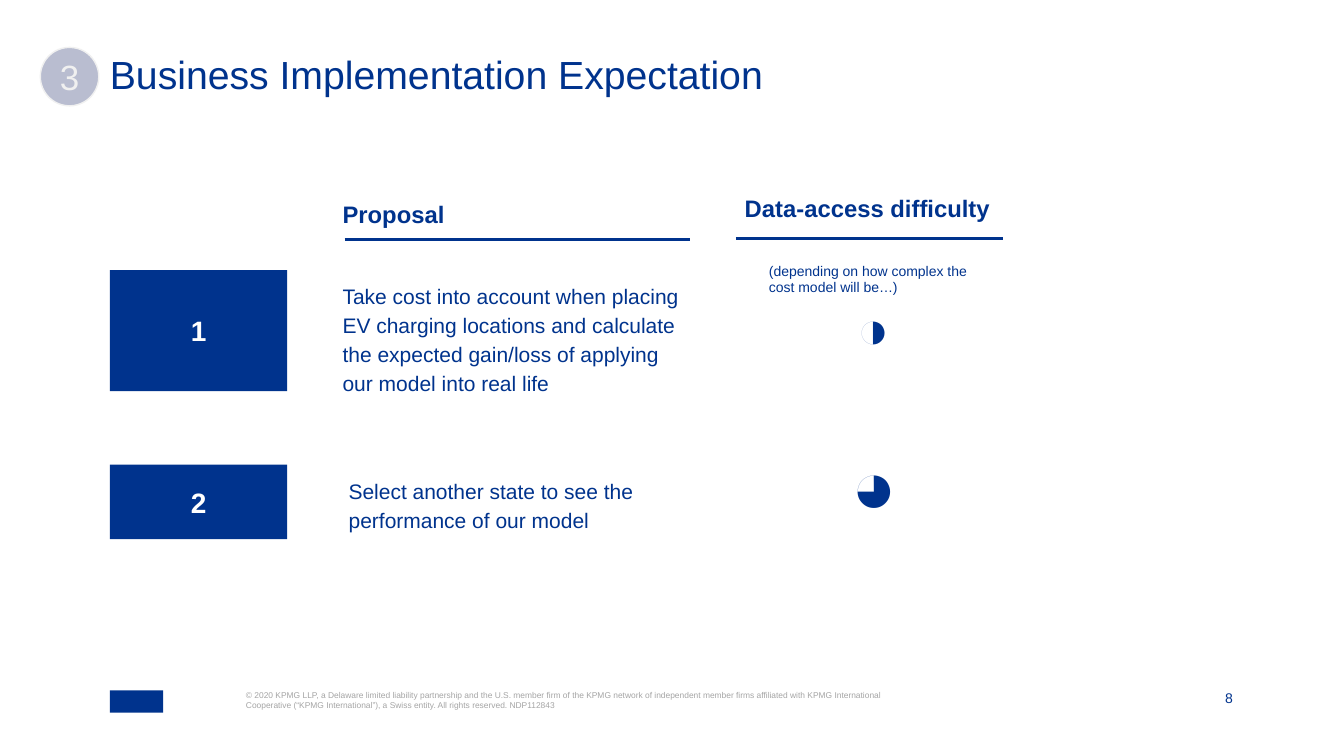
import dataclasses

import lxml.etree
import pptx
import pptx.dml.color
import pptx.enum.shapes
import pptx.enum.text
import pptx.oxml.ns
import pptx.util

# One grid column or row is a tenth of an inch
STEP = 0.1
WIDE, HIGH = 133.33, 75
BLUE, WHITE, PALE, GREY = "00338D", "FFFFFF", "F0F0F0", "A5A5A5"
LEFT, MID, RIGHT = (
    pptx.enum.text.PP_ALIGN.LEFT,
    pptx.enum.text.PP_ALIGN.CENTER,
    pptx.enum.text.PP_ALIGN.RIGHT,
)
TOP, CORE, BASE = (
    pptx.enum.text.MSO_ANCHOR.TOP,
    pptx.enum.text.MSO_ANCHOR.MIDDLE,
    pptx.enum.text.MSO_ANCHOR.BOTTOM,
)
OVAL = pptx.enum.shapes.MSO_SHAPE.OVAL
RECT = pptx.enum.shapes.MSO_SHAPE.RECTANGLE


@dataclasses.dataclass
class Area:
    col: float
    row: float
    cols: float
    rows: float


@dataclasses.dataclass
class Para:
    text: str
    size: float
    color: str = BLUE
    bold: bool = False
    align: pptx.enum.text.PP_ALIGN = LEFT
    space: float = 1


@dataclasses.dataclass
class Label:
    area: Area
    paras: list[Para]
    inset: float = 1
    anchor: pptx.enum.text.MSO_ANCHOR = TOP


@dataclasses.dataclass
class Block:
    area: Area
    kind: pptx.enum.shapes.MSO_SHAPE
    fill: str
    edge: str | None = None
    para: Para | None = None


@dataclasses.dataclass
class Rule:
    col: float
    row: float
    cols: float


def span(count: float) -> pptx.util.Length:
    return pptx.util.Inches(count * STEP)


def tint(code: str) -> pptx.dml.color.RGBColor:
    return pptx.dml.color.RGBColor.from_string(code)


def place(area: Area) -> tuple[pptx.util.Length, ...]:
    return tuple(span(n) for n in (area.col, area.row, area.cols, area.rows))


def write(frame, paras: list[Para], inset: float, anchor) -> None:
    frame.word_wrap = True
    frame.auto_size = pptx.enum.text.MSO_AUTO_SIZE.NONE
    frame.vertical_anchor = anchor
    frame.margin_left = frame.margin_right = span(inset)
    frame.margin_top = frame.margin_bottom = span(inset)
    for i, para in enumerate(paras):
        line = frame.add_paragraph() if i else frame.paragraphs[0]
        line.text = para.text
        line.alignment = para.align
        line.line_spacing = para.space
        line.space_before = pptx.util.Pt(0)
        line.font.name = "Arial"
        line.font.size = pptx.util.Pt(para.size)
        line.font.bold = para.bold
        line.font.color.rgb = tint(para.color)


def head(slide, area: Area, para: Para) -> None:
    title = slide.shapes.title
    title.left, title.top, title.width, title.height = place(area)
    write(title.text_frame, [para], 0, CORE)


def draw_text(slide, label: Label) -> None:
    box = slide.shapes.add_textbox(*place(label.area))
    write(box.text_frame, label.paras, label.inset, label.anchor)


def draw_block(slide, block: Block) -> None:
    shape = slide.shapes.add_shape(block.kind, *place(block.area))
    shape.shadow.inherit = False
    shape.fill.solid()
    shape.fill.fore_color.rgb = tint(block.fill)
    if block.edge:
        shape.line.color.rgb = tint(block.edge)
        shape.line.width = pptx.util.Pt(1)
    else:
        shape.line.fill.background()
    if block.para:
        write(shape.text_frame, [block.para], 1, CORE)


def draw_rule(slide, rule: Rule) -> None:
    line = slide.shapes.add_connector(
        pptx.enum.shapes.MSO_CONNECTOR.STRAIGHT,
        span(rule.col), span(rule.row), span(rule.col + rule.cols), span(rule.row),
    )
    line.line.color.rgb = tint(BLUE)
    line.line.width = pptx.util.Pt(2.25)
    lxml.etree.SubElement(line._element.spPr, pptx.oxml.ns.qn("a:effectLst"))


# Number badge, proposal tiles and the plain mark in the footer
BLOCKS = [
    Block(Area(4, 4.7, 5.8, 5.8), OVAL, "B9BDD0", PALE, Para("3", 25, PALE, align=MID)),
    Block(Area(10.9, 26.8, 17.6, 12), RECT, BLUE, para=Para("1", 20, WHITE, True, MID)),
    Block(Area(10.9, 46.1, 17.6, 7.4), RECT, BLUE, para=Para("2", 20, WHITE, True, MID)),
    Block(Area(10.9, 68.5, 5.3, 2.2), RECT, BLUE),
]

# Lines under the column heads
RULES = [Rule(34.2, 23.8, 34.3), Rule(73, 23.7, 26.5)]

LABELS = [
    # Column heads
    Label(Area(33, 18.8, 30.6, 4.9), [Para("Proposal", 17, bold=True)]),
    Label(Area(72.9, 18.2, 32, 4.9), [Para("Data-access difficulty", 17, bold=True)]),
    # Proposals
    Label(Area(33, 26.8, 35.5, 13.3), [Para(
        "Take cost into account when placing EV charging locations and calculate "
        "the expected gain/loss of applying our model into real life", 15, space=1.15)]),
    Label(Area(33.6, 46.1, 35.5, 7.4), [Para(
        "Select another state to see the performance of our model", 15, space=1.15)]),
    # Difficulty ratings
    Label(Area(82.5, 42.4, 8.5, 11.1), [Para("◕", 54, align=MID)]),
    Label(Area(75.3, 25, 22.8, 11.8), [
        Para("(depending on how complex the cost model will be…)", 10),
        Para("◑", 38, bold=True, align=MID)]),
    # Footer
    Label(Area(24.4, 68.5, 63.9, 4.1), [Para(
        "© 2020 KPMG LLP, a Delaware limited liability partnership and the U.S. member "
        "firm of the KPMG network of independent member firms affiliated with KPMG "
        "International Cooperative (“KPMG International”), a Swiss entity. "
        "All rights reserved. NDP112843", 6, GREY)], 0),
    Label(Area(117.4, 68.5, 4.9, 1.6), [Para("8", 10, align=RIGHT)], 0, BASE),
]


def main() -> None:
    deck = pptx.Presentation()
    deck.slide_width, deck.slide_height = span(WIDE), span(HIGH)
    slide = deck.slides.add_slide(deck.slide_layouts[5])
    head(slide, Area(10.9, 4.7, 111.5, 5.8),
         Para("Business Implementation Expectation", 28, space=0.9))
    for block in BLOCKS:
        draw_block(slide, block)
    for rule in RULES:
        draw_rule(slide, rule)
    for label in LABELS:
        draw_text(slide, label)
    deck.save("out.pptx")


if __name__ == "__main__":
    main()
